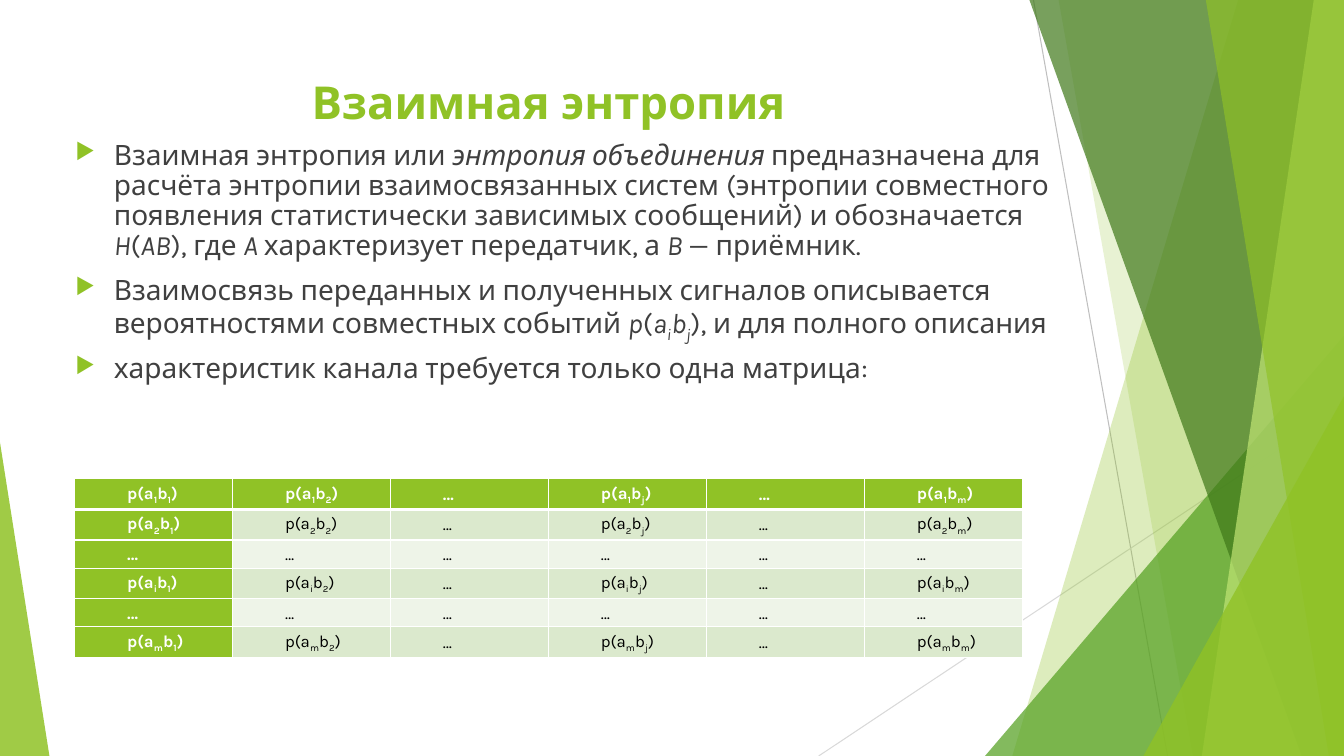
from lxml import etree
from pptx import Presentation
from pptx.dml.color import RGBColor
from pptx.enum.shapes import MSO_CONNECTOR, MSO_SHAPE
from pptx.enum.text import MSO_ANCHOR, PP_ALIGN
from pptx.oxml.ns import qn
from pptx.util import Inches, Pt

STRAIGHT = MSO_CONNECTOR.STRAIGHT
TRIANGLE = MSO_SHAPE.ISOSCELES_TRIANGLE
MIDDLE = MSO_ANCHOR.MIDDLE
CENTER, JUSTIFY = PP_ALIGN.CENTER, PP_ALIGN.JUSTIFY

FONT = "Karla"
GREEN, WHITE, BLACK, GREY = "90C226", "FFFFFF", "000000", "404040"
BANDS = ["DBE9CD", "EEF4E8"]

# Distances from the right edge, then colour and opacity in percent
RAYS = [(3.08, 0, 1.75, 7.5, "BFBFBF"), (0, 4.03, 5.21, 7.5, "D9D9D9")]
FACETS = [  # at the top edge, at the bottom edge
    ("band", 1.05, 3.29, GREEN, 30),
    ("band", 2.83, 1.5, GREEN, 20),
    ("triangle", 3.56, 4.17, "54A021", 72),  # width, height
    ("band", 3.12, 0.42, "3F7819", 70),
    ("band", 0.3, 1.41, "C0E474", 70),
    ("band", 1.37, 0.15, GREEN, 65),
    ("triangle", 1.99, 3.57, GREEN, 80),
]

# Each paragraph is a list of (text, style): i = italic, s = italic subscript
BODY = [
    [("Взаимная энтропия или ", ""), ("энтропия объединения ", "i"),
     ("предназначена для расчёта энтропии взаимосвязанных систем (энтропии "
      "совместного появления статистически зависимых сообщений) и обозначается ", ""),
     ("H", "i"), ("(", ""), ("AB", "i"), ("), где ", ""), ("A ", "i"),
     ("характеризует передатчик, а ", ""), ("B ", "i"), ("— приёмник.", "")],
    [("Взаимосвязь переданных и полученных сигналов описывается "
      "вероятностями совместных событий ", ""),
     ("p", "i"), ("(", ""), ("a", "i"), ("i", "s"), ("b", "i"), ("j", "s"),
     ("), и для полного описания", "")],
    [("характеристик канала требуется только одна матрица:", "")],
]
ROW_INDEXES = ["1", "2", "…", "i", "…", "m"]
COL_INDEXES = ["1", "2", "…", "j", "…", "m"]


def rgb(value):
    return RGBColor.from_string(value)


def add_xml(parent, tag, **attrs):
    return etree.SubElement(parent, qn(tag), attrs)


def add_run(p, text, size=20, color=GREY, bold=False, italic=False, sub=False):
    r = p.add_run()
    r.text = text
    r.font.name, r.font.size = FONT, Pt(size)
    r.font.bold, r.font.italic = bold, italic
    r.font.color.rgb = rgb(color)
    if sub:
        r.font._element.set("baseline", "-25000")


def paint(sp, color, opacity):
    sp.shadow.inherit = False
    sp.fill.solid()
    sp.fill.fore_color.rgb = rgb(color)
    clr = sp.fill._xPr.find(qn("a:solidFill"))[0]
    add_xml(clr, "a:alpha", val=str(opacity * 1000))
    sp.line.fill.background()


def add_triangle(s, left, top, width, height, apex, color, opacity):
    sp = s.shapes.add_shape(TRIANGLE, Inches(left), Inches(top),
                            Inches(width), Inches(height))
    sp.adjustments[0] = apex
    paint(sp, color, opacity)


def add_text_box(s, left, top, width, height):
    tf = s.shapes.add_textbox(Inches(left), Inches(top),
                              Inches(width), Inches(height)).text_frame
    tf.word_wrap = True
    return tf


def add_decoration(s, left, top, width, height):
    right, bottom = left + width, top + height
    # Thin rays
    for x1, y1, x2, y2, color in RAYS:
        ray = s.shapes.add_connector(
            STRAIGHT, Inches(right - x1), Inches(top + y1),
            Inches(right - x2), Inches(top + y2))
        ray.line.color.rgb = rgb(color)
        ray.line.width = Pt(0.75)
        add_xml(ray._element.spPr, "a:effectLst")
    # Overlapping facets on the right
    for kind, a, b, color, opacity in FACETS:
        if kind == "triangle":
            add_triangle(s, right - a, bottom - b, a, b, 1, color, opacity)
            continue
        corners = [(right - a, top), (right, top), (right, bottom), (right - b, bottom)]
        points = [(Inches(x), Inches(y)) for x, y in corners]
        builder = s.shapes.build_freeform(*points[0])
        builder.add_line_segments(points[1:], close=True)
        paint(builder.convert_to_shape(), color, opacity)
    # Wedge on the left
    add_triangle(s, left, bottom - 3.11, 0.49, 3.11, 0, GREEN, 85)


def add_title(s, left, top, width, height):
    tf = add_text_box(s, left, top, width, height)
    tf.vertical_anchor = MIDDLE
    p = tf.paragraphs[0]
    p.alignment = CENTER
    add_run(p, "Взаимная энтропия", size=32.4, color=GREEN, bold=True)


def add_body(s, left, top, width, height):
    tf = add_text_box(s, left, top, width, height)
    for i, parts in enumerate(BODY):
        p = tf.add_paragraph() if i else tf.paragraphs[0]
        p.space_before = Pt(10)
        p.line_spacing = 0.9
        # Green arrow bullet with a hanging indent
        pPr = p._p.get_or_add_pPr()
        pPr.set("marL", str(Inches(0.38)))
        pPr.set("indent", str(Inches(-0.38)))
        add_xml(add_xml(pPr, "a:buClr"), "a:srgbClr", val=GREEN)
        add_xml(pPr, "a:buSzPct", val="80000")
        add_xml(pPr, "a:buChar", char="▶")
        for text, style in parts:
            add_run(p, text, italic=style != "", sub=style == "s")


def add_borders(cell, **widths):
    tcPr = cell._tc.get_or_add_tcPr()
    for side in "LRTB":
        ln = add_xml(tcPr, "a:ln" + side, w=str(Pt(widths.get(side, 1))))
        add_xml(add_xml(ln, "a:solidFill"), "a:srgbClr", val=WHITE)


def add_matrix(s, left, top, width, height):
    rows, cols = len(ROW_INDEXES), len(COL_INDEXES)
    table = s.shapes.add_table(rows, cols, Inches(left), Inches(top),
                               Inches(width), Inches(height)).table
    for i, a in enumerate(ROW_INDEXES):
        for j, b in enumerate(COL_INDEXES):
            cell = table.cell(i, j)
            header = i == 0 or j == 0
            add_borders(cell, T=3 if i == 1 else 1, B=3 if i == 0 else 1)
            cell.fill.solid()
            cell.fill.fore_color.rgb = rgb(GREEN if header else BANDS[(i - 1) % 2])
            cell.vertical_anchor = MIDDLE
            cell.margin_left = cell.margin_right = Inches(0.03)
            cell.margin_top = cell.margin_bottom = Inches(0.03)
            p = cell.text_frame.paragraphs[0]
            p.alignment = JUSTIFY
            p.line_spacing = 1.07
            p._p.get_or_add_pPr().set("indent", str(Inches(0.49)))
            # Indexes are every second part of the formula
            parts = ["…"] if "…" in (a, b) else ["p(a", a, "b", b, ")"]
            for k, text in enumerate(parts):
                add_run(p, text, size=12, color=WHITE if header else BLACK,
                        bold=header, sub=k % 2 == 1)


def main():
    prs = Presentation()
    prs.slide_width, prs.slide_height = Inches(13.33), Inches(7.5)
    s = prs.slides.add_slide(prs.slide_layouts[6])
    add_decoration(s, 0, 0, 13.33, 7.5)
    add_title(s, 0.74, 0.67, 9.4, 0.68)
    add_body(s, 0.65, 1.35, 10.11, 2.5)
    add_matrix(s, 0.74, 4.75, 9.4, 1.68)
    prs.save("out.pptx")


if __name__ == "__main__":
    main()
